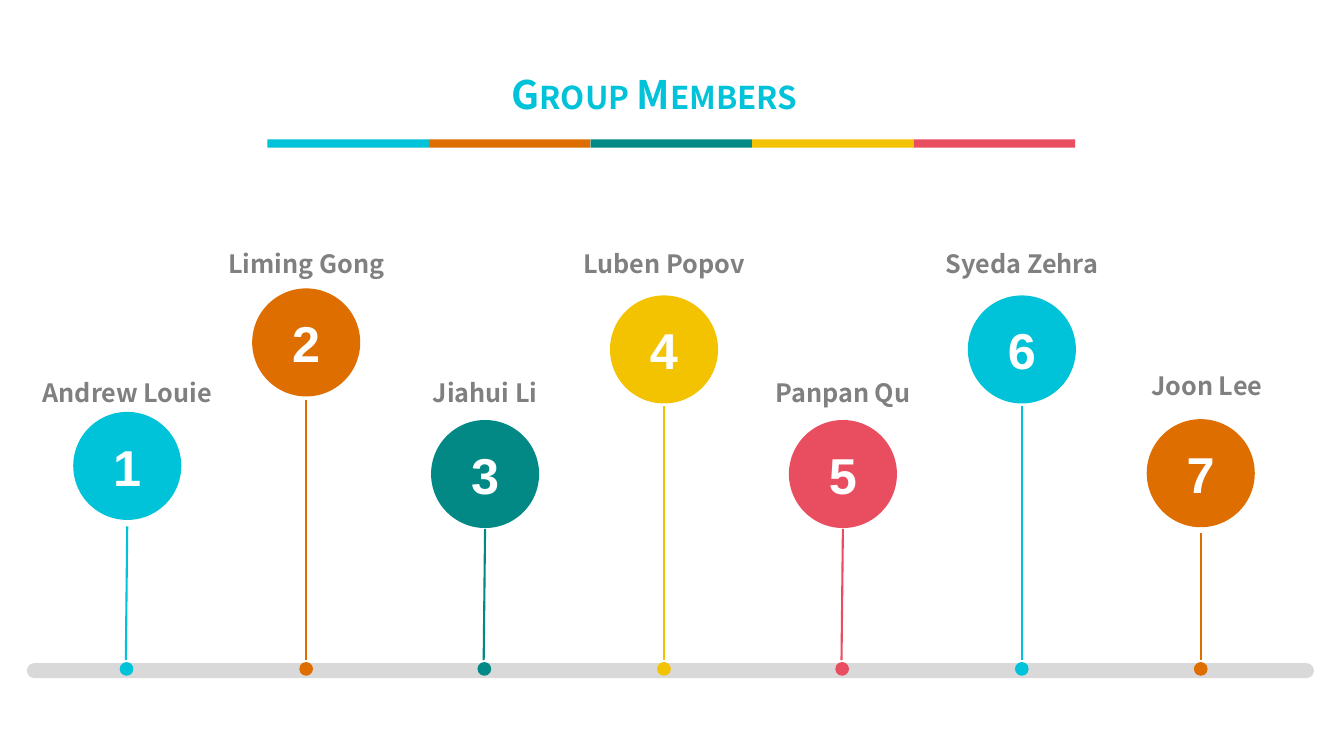
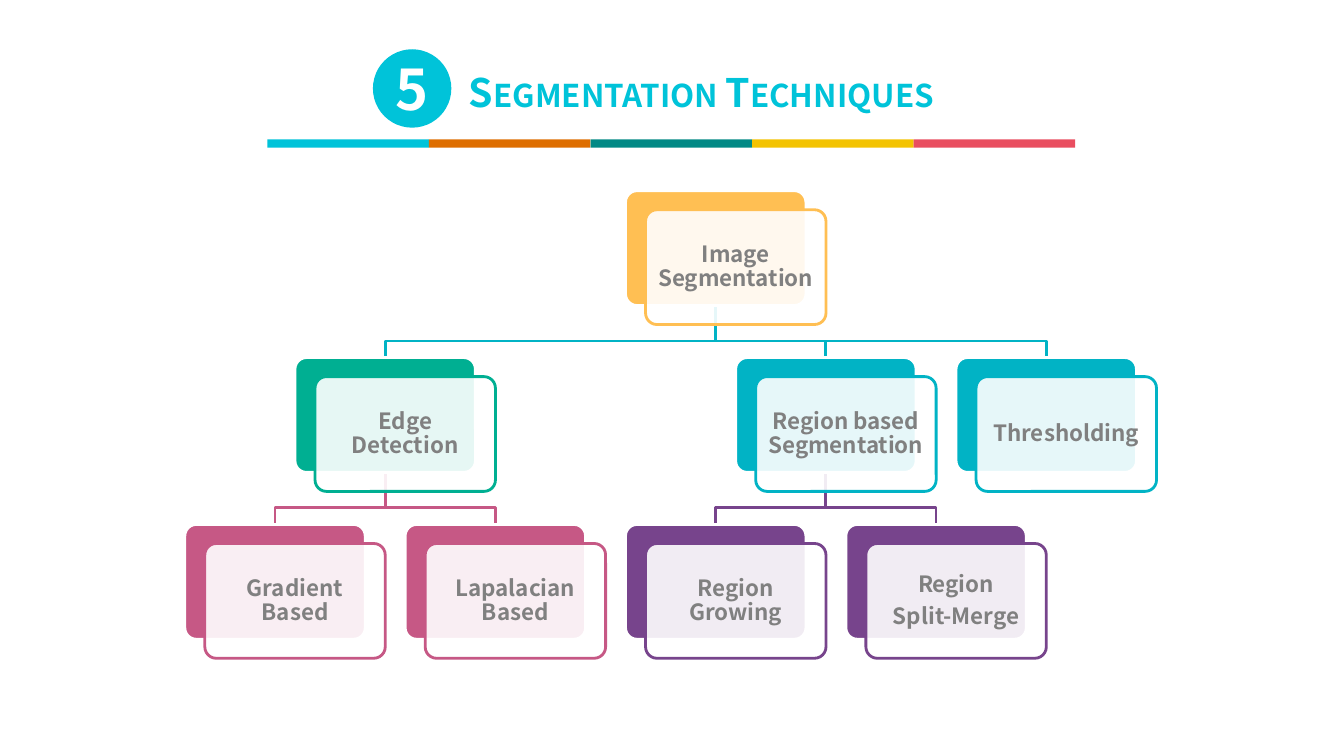
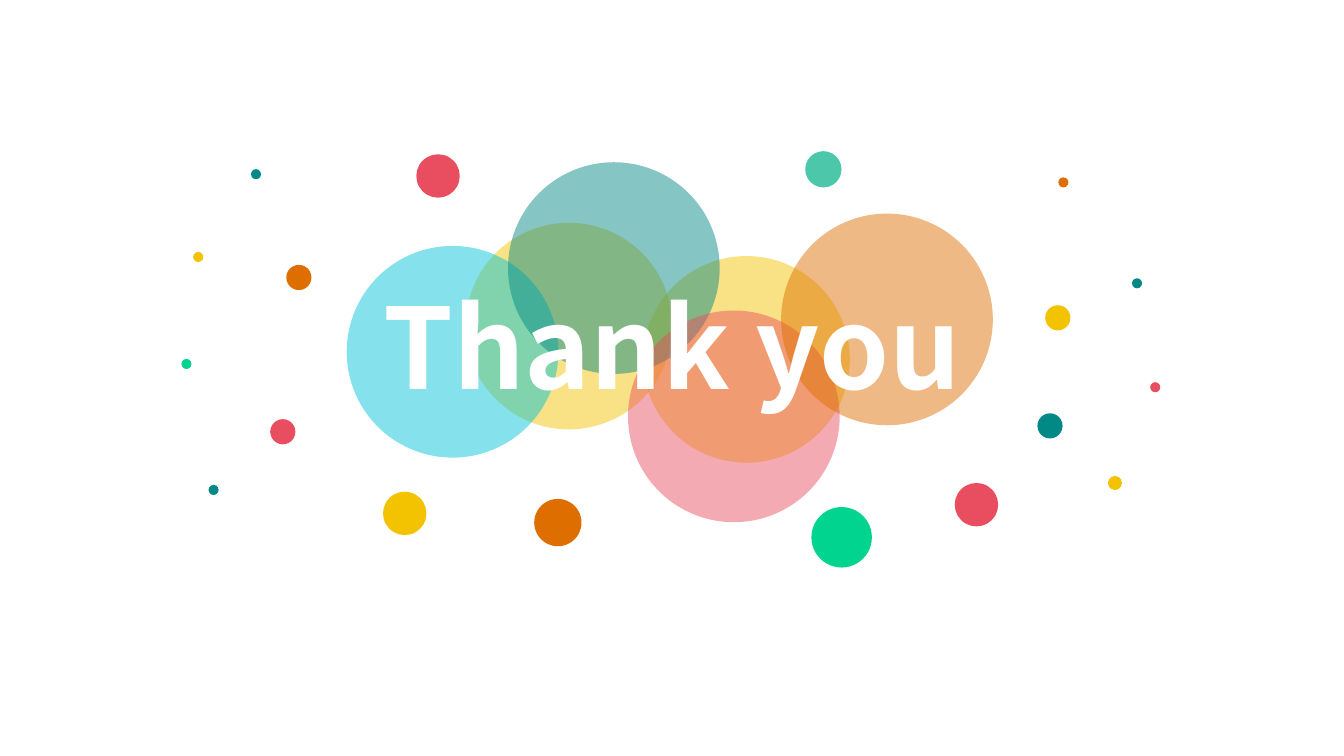
import lxml.etree
import pptx
import pptx.dml.color
import pptx.enum.shapes
import pptx.enum.text
import pptx.oxml.ns
import pptx.util

Pt = pptx.util.Pt
qn = pptx.oxml.ns.qn
KIND = pptx.enum.shapes.MSO_SHAPE
ANCHOR = pptx.enum.text.MSO_ANCHOR
ALIGN = pptx.enum.text.PP_ALIGN

COLOURS = {
    "cyan": "00C3D9",
    "orange": "DE6E00",
    "teal": "028985",
    "yellow": "F3C301",
    "red": "E94E60",
    "mint": "4CC7AA",
    "green": "01D48F",
    "amber": "FFBF53",
    "emerald": "00AF92",
    "turquoise": "01B3C5",
    "pink": "C65885",
    "purple": "77448C",
    "grey": "808080",
    "silver": "D9D9D9",
    "white": "FFFFFF",
}
RGB = {name: pptx.dml.color.RGBColor.from_string(value) for name, value in COLOURS.items()}

SANS = "Noto Sans CJK SC"
TITLE = {"name": SANS, "size": Pt(28), "bold": True}
BADGE = {"name": SANS, "size": Pt(40), "bold": True}
NUMBER = {"name": "Arial", "size": Pt(36), "bold": True}
MEMBER = {"name": SANS, "size": Pt(18), "bold": True}
CARD = {"name": SANS, "size": Pt(16), "bold": True}
CLOSING = {"name": SANS, "size": Pt(80), "bold": True}
CENTRED = {"alignment": ALIGN.CENTER}


def draw(page, kind, left, top, width, height, fill, opacity=100, line=None, radius=None):
    shape = page.shapes.add_shape(kind, Pt(left), Pt(top), Pt(width), Pt(height))
    shape.shadow.inherit = False
    shape.fill.solid()
    shape.fill.fore_color.rgb = RGB[fill]
    if opacity < 100:
        colour = shape.element.spPr.find(qn("a:solidFill")).find(qn("a:srgbClr"))
        lxml.etree.SubElement(colour, qn("a:alpha"), val=str(opacity * 1000))
    if line:
        shape.line.color.rgb = RGB[line]
        shape.line.width = Pt(2)
    else:
        shape.line.fill.background()
    if radius is not None:
        shape.adjustments[0] = radius
    return shape


def write(box, text, font, colour, layout, inset=(7.2, 3.6), anchor=ANCHOR.MIDDLE, wrap=True):
    frame = box.text_frame
    across, down = inset
    settings = {
        "word_wrap": wrap,
        "vertical_anchor": anchor,
        "margin_left": Pt(across),
        "margin_right": Pt(across),
        "margin_top": Pt(down),
        "margin_bottom": Pt(down),
    }
    for key, value in settings.items():
        setattr(frame, key, value)
    frame.text = text
    for para in frame.paragraphs:
        for key, value in layout.items():
            setattr(para, key, value)
        for span in para.runs:
            for key, value in font.items():
                setattr(span.font, key, value)
            span.font.color.rgb = RGB[colour]
    return frame


deck = pptx.Presentation()
deck.slide_width = Pt(960)
deck.slide_height = Pt(540)
members_page, tree_page, closing_page = [
    deck.slides.add_slide(deck.slide_layouts[6]) for _ in range(3)
]

headings = [
    (members_page, "Group Members", 359.3, 47.5, 238.3),
    (tree_page, "Segmentation Techniques", 329, 46, 364.3),
]
for page, heading, left, top, width in headings:
    box = page.shapes.add_textbox(Pt(left), Pt(top), Pt(width), Pt(39))
    frame = write(box, heading, TITLE, "cyan", {}, (6, 3), ANCHOR.TOP)
    frame.paragraphs[0].runs[0].font._element.set("cap", "small")
    for index, colour in enumerate(["cyan", "orange", "teal", "yellow", "red"]):
        draw(page, KIND.RECTANGLE, 191 + 115.4 * index, 99.5, 115.4, 6, colour)

draw(members_page, KIND.ROUNDED_RECTANGLE, 19.2, 473.6, 919.4, 10.8, "silver", radius=0.5)
members = [
    ("Andrew Louie", "cyan", 294.2, 376, 260, 1, 0),
    ("Liming Gong", "orange", 206, 286, 168, 0, 0),
    ("Jiahui Li", "teal", 300, 378, 260, 1, 0),
    ("Luben Popov", "yellow", 211, 290, 168, 0, 0),
    ("Panpan Qu", "red", 300, 378, 260, 1, 0),
    ("Syeda Zehra", "cyan", 211, 290, 168, 0, 0),
    ("Joon Lee", "orange", 299.4, 381, 255, 0, 4.3),
]
for index, (name, colour, ball_top, stem_top, name_top, lean, shift) in enumerate(members):
    centre = 90.9 + 127.8 * index
    ball = draw(members_page, KIND.OVAL, centre - 38.6, ball_top, 77.2, 77.2, colour)
    write(ball, str(index + 1), NUMBER, "white", CENTRED)
    stem = members_page.shapes.add_connector(
        pptx.enum.shapes.MSO_CONNECTOR.STRAIGHT,
        Pt(centre), Pt(stem_top), Pt(centre - lean), Pt(471.5),
    )
    stem.line.color.rgb = RGB[colour]
    stem.line.width = Pt(1.5)
    lxml.etree.SubElement(stem.element.spPr, qn("a:effectLst"))
    draw(members_page, KIND.OVAL, centre - lean / 2 - 4.9, 472.9, 9.8, 9.8, colour)
    box = members_page.shapes.add_textbox(
        Pt(centre + shift - 72.5), Pt(name_top), Pt(145), Pt(31)
    )
    layout = CENTRED | {"line_spacing": 1.3}
    write(box, name, MEMBER, "grey", layout, (5, 3), ANCHOR.TOP)

badge = draw(tree_page, KIND.OVAL, 266.4, 35.2, 56, 56, "cyan")
write(badge, "5", BADGE, "white", CENTRED, (0, 0))

card_width, card_height = 128.9, 82
nodes = {
    "root": ("Image Segmentation", 4, 0, "amber", None, None),
    "edge": ("Edge Detection", 1, 1, "emerald", "root", "turquoise"),
    "gradient": ("Gradient Based", 0, 2, "pink", "edge", "pink"),
    "laplacian": ("Lapalacian Based", 2, 2, "pink", "edge", "pink"),
    "region": ("Region based Segmentation", 5, 1, "turquoise", "root", "turquoise"),
    "growing": ("Region Growing", 4, 2, "purple", "region", "purple"),
    "split": ("Region\nSplit-Merge", 6, 2, "purple", "region", "purple"),
    "threshold": ("Thresholding", 7, 1, "turquoise", "root", "turquoise"),
}
corners = {
    key: (132 + 78.7 * column, 136.2 + 119.2 * row)
    for key, (_, column, row, *_) in nodes.items()
}
for key, (*_, parent, colour) in nodes.items():
    if parent is None:
        continue
    start_x = corners[parent][0] + card_width / 2
    start_y = corners[parent][1] + card_height
    end_x = corners[key][0] + card_width / 2
    end_y = corners[key][1]
    turn_y = start_y + 25.4
    builder = tree_page.shapes.build_freeform(Pt(start_x), Pt(start_y))
    bends = [(start_x, turn_y), (end_x, turn_y), (end_x, end_y)]
    builder.add_line_segments([(Pt(x), Pt(y)) for x, y in bends], close=False)
    branch = builder.convert_to_shape()
    branch.shadow.inherit = False
    branch.fill.background()
    branch.line.color.rgb = RGB[colour]
    branch.line.width = Pt(2)

for key, (label, _, _, colour, *_) in nodes.items():
    left, top = corners[key]
    size = (card_width, card_height)
    draw(tree_page, KIND.ROUNDED_RECTANGLE, left, top, *size, colour, line="white", radius=0.1)
    card = draw(
        tree_page, KIND.ROUNDED_RECTANGLE, left + 14.3, top + 13.6, *size,
        "white", opacity=90, line=colour, radius=0.1,
    )
    layout = CENTRED | {"line_spacing": 0.9, "space_after": Pt(5.6)}
    write(card, label, CARD, "grey", layout, (5, 5))

bubbles = [
    (332.6, 159.1, 147.6, "yellow"),
    (459.4, 182.9, 147.6, "yellow"),
    (247.7, 175.7, 151.2, "cyan"),
    (362.9, 115.9, 151.2, "teal"),
    (448.6, 221.8, 151.2, "red"),
    (558, 152.6, 151.2, "orange"),
]
dots = [
    (575.2, 108, 25.9, "mint"),
    (579.6, 362.2, 43.2, "green"),
    (297.4, 110.2, 31, "red"),
    (381.6, 356.4, 33.8, "orange"),
    (204.5, 189.2, 18, "orange"),
    (179.3, 120.8, 7.2, "teal"),
    (138, 180, 7.2, "yellow"),
    (273.6, 351.2, 31, "yellow"),
    (193, 299.4, 18, "red"),
    (129.6, 256.4, 7.2, "green"),
    (149, 346.4, 7.2, "teal"),
    (746.6, 218, 18, "yellow"),
    (756, 126.7, 7.2, "orange"),
    (808.6, 198.8, 7.2, "teal"),
    (682, 345, 31, "red"),
    (741, 295.2, 18, "teal"),
    (821.6, 273, 7.2, "red"),
    (791.4, 340, 10, "yellow"),
]
for circles, opacity in [(bubbles, 48), (dots, 100)]:
    for left, top, size, colour in circles:
        draw(closing_page, KIND.OVAL, left, top, size, size, colour, opacity)
box = closing_page.shapes.add_textbox(Pt(260), Pt(195), Pt(440), Pt(104.4))
write(box, "Thank you", CLOSING, "white", CENTRED, anchor=ANCHOR.TOP, wrap=False)

deck.save("out.pptx")
